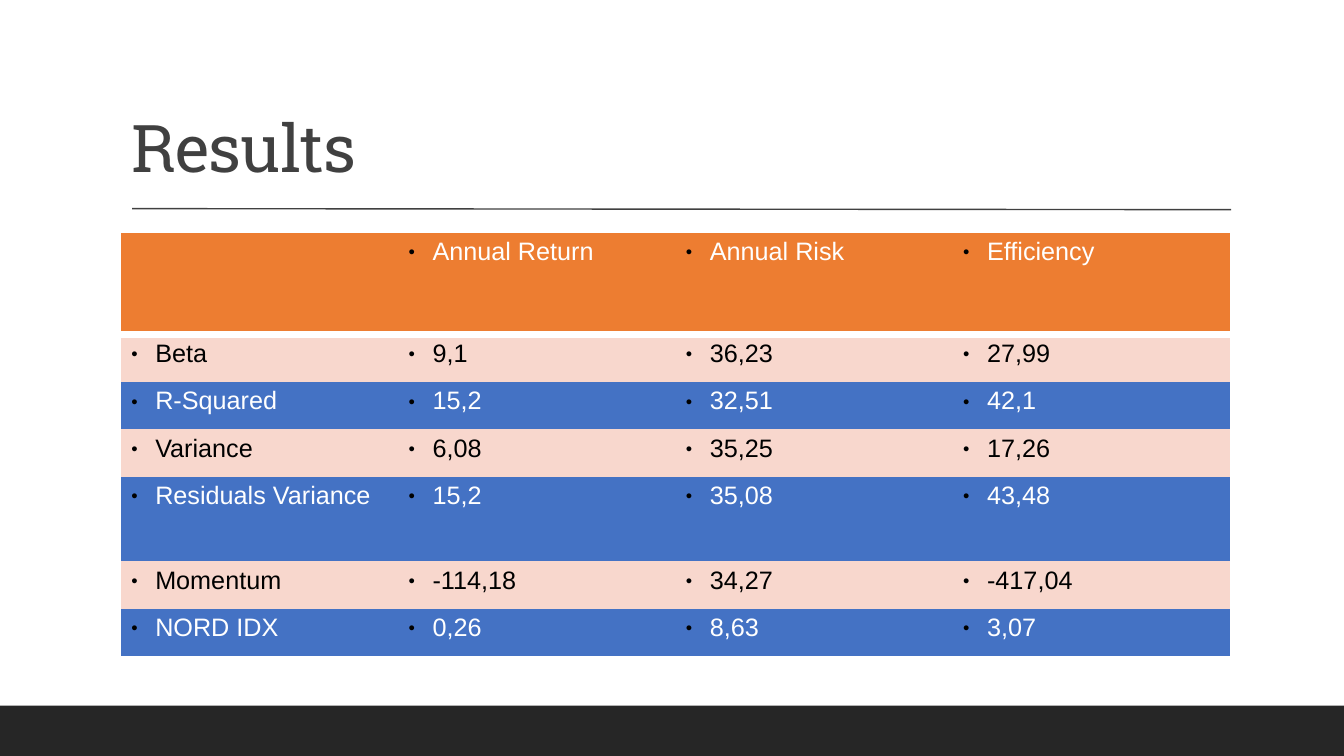
from dataclasses import dataclass

from lxml.etree import SubElement
from pptx import Presentation
from pptx.dml.color import RGBColor
from pptx.enum.shapes import MSO_CONNECTOR, MSO_SHAPE
from pptx.enum.text import MSO_ANCHOR, MSO_AUTO_SIZE, PP_ALIGN
from pptx.oxml.ns import qn
from pptx.util import Inches, Pt

COLORS = {
    "head": "ED7D31", "pale": "F8D7CD", "blue": "4472C4", "bar": "262626",
    "gray": "404040", "white": "FFFFFF", "black": "000000",
}
PLAIN = "{2D5ABB26-0587-4C30-8999-92F81FD0307C}"
LEFT, WIDTH = 1.2, 11


@dataclass
class Row:
    texts: tuple[str, ...]
    fill: str
    ink: str
    height: float = 0.47


HEAD = Row(("", "Annual Return", "Annual Risk", "Efficiency"), "head", "white", 1.01)
DATA = [
    ("Beta", "9,1", "36,23", "27,99"),
    ("R-Squared", "15,2", "32,51", "42,1"),
    ("Variance", "6,08", "35,25", "17,26"),
    ("Residuals Variance", "15,2", "35,08", "43,48"),
    ("Momentum", "-114,18", "34,27", "-417,04"),
    ("NORD IDX", "0,26", "8,63", "3,07"),
]
BANDS = [("pale", "black"), ("blue", "white")]
ROWS = [HEAD] + [Row(texts, *BANDS[i % 2]) for i, texts in enumerate(DATA)]
ROWS[4].height = 0.84


def color(name: str) -> RGBColor:
    return RGBColor.from_string(COLORS[name])


def add_bullet(para) -> None:
    props = para._p.get_or_add_pPr()
    props.set("marL", str(Inches(0.24)))
    props.set("indent", str(Inches(-0.24)))
    tint = SubElement(props, qn("a:buClr"))
    SubElement(tint, qn("a:srgbClr"), val=COLORS["black"])
    SubElement(props, qn("a:buSzPct"), val="45000")
    SubElement(props, qn("a:buFont"), typeface="Arial")
    SubElement(props, qn("a:buChar"), char="●")


def add_rule(cell) -> None:
    """Put a thick white line under a cell, ahead of its fill as the schema asks."""
    props = cell._tc.get_or_add_tcPr()
    line = SubElement(props, qn("a:lnB"), w=str(Pt(6)))
    paint = SubElement(line, qn("a:solidFill"))
    SubElement(paint, qn("a:srgbClr"), val=COLORS["white"])
    props.insert(0, line)


def fill_cell(cell, text: str, row: Row) -> None:
    cell.fill.solid()
    cell.fill.fore_color.rgb = color(row.fill)
    para = cell.text_frame.paragraphs[0]
    para.font.size = Pt(18)
    para.font.name = "Arial"
    para.font.color.rgb = color(row.ink)
    if text:
        para.add_run().text = text
        add_bullet(para)


def add_grid(slide) -> None:
    count = len(HEAD.texts)
    frame = slide.shapes.add_table(
        len(ROWS), count, Inches(LEFT), Inches(2.31), Inches(WIDTH),
        Inches(sum(row.height for row in ROWS)))
    table = frame.table
    table.first_row = table.horz_banding = False
    table._tbl.tblPr.find(qn("a:tableStyleId")).text = PLAIN
    for col in table.columns:
        col.width = Inches(WIDTH / count)
    for i, row in enumerate(ROWS):
        table.rows[i].height = Inches(row.height)
        for j, text in enumerate(row.texts):
            fill_cell(table.cell(i, j), text, row)
    for cell in table.rows[0].cells:
        add_rule(cell)


def add_title(slide) -> None:
    title = slide.shapes.title
    title.left, title.top = Inches(LEFT), Inches(0.31)
    title.width, title.height = Inches(WIDTH), Inches(1.59)
    frame = title.text_frame
    frame.auto_size = MSO_AUTO_SIZE.NONE
    frame.word_wrap = True
    frame.vertical_anchor = MSO_ANCHOR.BOTTOM
    para = frame.paragraphs[0]
    para.alignment = PP_ALIGN.LEFT
    para.line_spacing = 0.9
    para.font.name = "Roboto Slab"
    para.font.size = Pt(47)
    para.font.color.rgb = color("gray")
    run = para.add_run()
    run.text = "Results"
    run._r.get_or_add_rPr().set("spc", "-50")


def add_decor(slide) -> None:
    bar = slide.shapes.add_shape(
        MSO_SHAPE.RECTANGLE, 0, Inches(7), Inches(13.33), Inches(0.5))
    bar.shadow.inherit = False
    bar.fill.solid()
    bar.fill.fore_color.rgb = color("bar")
    bar.line.fill.background()
    line = slide.shapes.add_connector(
        MSO_CONNECTOR.STRAIGHT, Inches(1.31), Inches(2.07), Inches(12.21), Inches(2.08))
    line.line.color.rgb = color("gray")
    line.line.width = Pt(1)
    SubElement(line._element.spPr, qn("a:effectLst"))


def main() -> None:
    deck = Presentation()
    deck.slide_width, deck.slide_height = Inches(13.33), Inches(7.5)
    slide = deck.slides.add_slide(deck.slide_layouts[5])
    add_decor(slide)
    add_title(slide)
    add_grid(slide)
    deck.save("out.pptx")


if __name__ == "__main__":
    main()
